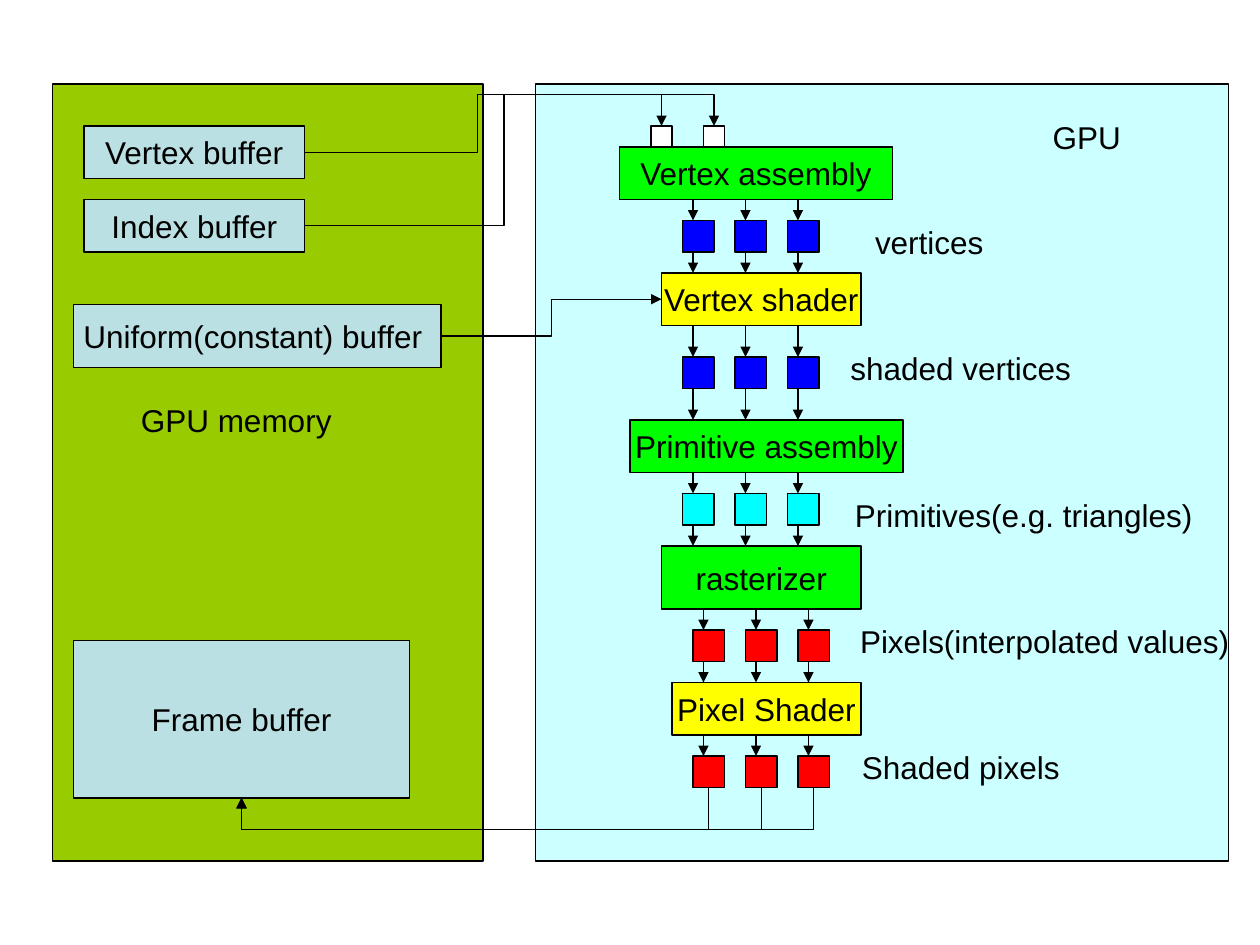
from lxml import etree
from pptx import Presentation
from pptx.dml.color import RGBColor
from pptx.enum.shapes import MSO_CONNECTOR, MSO_SHAPE
from pptx.enum.text import MSO_ANCHOR, PP_ALIGN
from pptx.oxml.ns import qn
from pptx.util import Cm, Pt

GRID = 2.54 / 12  # the layout grid in centimetres
TOP, LEFT, BOTTOM, RIGHT = range(4)
TOKEN = 3  # side of a data square
TOKEN_STEP = 5
LABEL_SIZE = (15, 6)
BLACK, WHITE = "000000", "FFFFFF"
GREEN, YELLOW, BLUE, CYAN, RED = "00FF00", "FFFF00", "0000FF", "00FFFF", "FF0000"
BUFFER_FILL = "BBE0E3"

MEMORY_BOX = (5, 8, 41, 74)
GPU_BOX = (51, 8, 66, 74)

# Places below are relative to the panel that holds them
BUFFERS = {
    "Vertex buffer": (3, 4, 21, 5),
    "Index buffer": (3, 11, 21, 5),
    "Uniform(constant) buffer ": (2, 21, 35, 6),
    "Frame buffer": (2, 53, 32, 15),
}
# Stage name, box, fill, then the left, top and fill of its output squares
STAGES = [
    ("Vertex assembly", (8, 6, 26, 5), GREEN, (14, 13, BLUE)),
    ("Vertex shader", (12, 18, 19, 5), YELLOW, (14, 26, BLUE)),
    ("Primitive assembly", (9, 32, 26, 5), GREEN, (14, 39, CYAN)),
    ("rasterizer", (12, 44, 19, 6), GREEN, (15, 52, RED)),
    ("Pixel Shader", (13, 57, 18, 5), YELLOW, (15, 64, RED)),
]
GPU_LABELS = [
    ("GPU", 45, 2),
    ("vertices", 30, 12),
    ("shaded vertices", 33, 24),
    ("Primitives(e.g. triangles)", 39, 38),
    ("Pixels(interpolated values)", 41, 50),
    ("Shaded pixels", 33, 62),
]


def color(value):
    return RGBColor.from_string(value)


def units(*values):
    return [Cm(value * GRID) for value in values]


def inside(panel, box):
    return (panel[0] + box[0], panel[1] + box[1], *box[2:])


def write(shape, text, size=18, font="Arial", fill=BLACK):
    frame = shape.text_frame
    frame.word_wrap = False
    frame.vertical_anchor = MSO_ANCHOR.MIDDLE
    para = frame.paragraphs[0]
    para.alignment = PP_ALIGN.CENTER
    span = para.add_run()
    span.text = text
    span.font.size = Pt(size)
    span.font.name = font
    span.font.color.rgb = color(fill)


def add_rect(page, box, fill=None, text=None):
    """A box with fill and outline, or a bare caption when fill is None."""
    shape = page.shapes.add_shape(MSO_SHAPE.RECTANGLE, *units(*box))
    shape.shadow.inherit = False
    if fill:
        shape.fill.solid()
        shape.fill.fore_color.rgb = color(fill)
        shape.line.color.rgb = color(BLACK)
        shape.line.width = Pt(0.75)
    else:
        shape.fill.background()
        shape.line.fill.background()
    if text:
        write(shape, text)
    return shape


def add_label(page, panel, text, left, top):
    # A plain rectangle lets an unwrapped caption run past both sides
    add_rect(page, inside(panel, (left, top, *LABEL_SIZE)), text=text)


def style_arrow(connector):
    connector.line.color.rgb = color(BLACK)
    connector.line.width = Pt(0.75)
    line = connector.line._get_or_add_ln()
    etree.SubElement(line, qn("a:tailEnd"), type="triangle")
    etree.SubElement(connector._element.spPr, qn("a:effectLst"))


def add_arrow(page, x, start, end):
    arrow = page.shapes.add_connector(MSO_CONNECTOR.STRAIGHT, *units(x, start, x, end))
    style_arrow(arrow)


def side_point(shape, side):
    x = {LEFT: 0, RIGHT: shape.width}.get(side, shape.width // 2)
    y = {TOP: 0, BOTTOM: shape.height}.get(side, shape.height // 2)
    return shape.left + x, shape.top + y


def join(page, source, source_side, target, target_side, via_x=None, via_y=None):
    """Link two shapes by an elbow that turns at the given grid positions."""
    x0, y0 = side_point(source, source_side)
    x1, y1 = side_point(target, target_side)
    elbow = page.shapes.add_connector(MSO_CONNECTOR.ELBOW, x0, y0, x1, y1)
    elbow.begin_connect(source, source_side)
    elbow.end_connect(target, target_side)
    turns = []
    if via_x is not None:
        turns.append((Cm(via_x * GRID) - x0) / (x1 - x0))
    if via_y is not None:
        turns.append((Cm(via_y * GRID) - y0) / (y1 - y0))
    geometry = elbow._element.spPr.find(qn("a:prstGeom"))
    if len(turns) == 2:
        geometry.set("prst", "bentConnector4")
    elif via_x is None:
        # Leaves downwards and heads left: a quarter turn of the plain elbow
        width, height = y1 - y0, x0 - x1
        frame = elbow._element.spPr.find(qn("a:xfrm"))
        frame.attrib.pop("flipH", None)
        frame.set("rot", "5400000")
        elbow.left = (x0 + x1 - width) // 2
        elbow.top = (y0 + y1 - height) // 2
        elbow.width, elbow.height = width, height
    guides = geometry.find(qn("a:avLst"))
    for number, turn in enumerate(turns, 1):
        etree.SubElement(guides, qn("a:gd"), name=f"adj{number}",
                         fmla=f"val {round(turn * 100000)}")
    style_arrow(elbow)


def build_memory(page, panel):
    add_rect(page, panel, "99CC00")
    add_label(page, panel, "GPU memory", 10, 29)
    return [add_rect(page, inside(panel, box), BUFFER_FILL, name)
            for name, box in BUFFERS.items()]


def build_tokens(page, panel, left, top, fill, start, end):
    """Three squares, each with an arrow in and, unless last, an arrow out."""
    tokens = []
    for index in range(3):
        box = inside(panel, (left + index * TOKEN_STEP, top, TOKEN, TOKEN))
        tokens.append(add_rect(page, box, fill))
        x, y = box[0] + 1, box[1]
        add_arrow(page, x, panel[1] + start, y)
        if end is not None:
            add_arrow(page, x, y + TOKEN, panel[1] + end)
    return tokens


def build_gpu(page, panel):
    add_rect(page, panel, "CCFFFF")
    inputs = [add_rect(page, inside(panel, (left, 4, 2, 2)), WHITE) for left in (11, 16)]
    # Pipeline stages, then the data that flows between them
    stages = [add_rect(page, inside(panel, box), fill, name)
              for name, box, fill, _ in STAGES]
    next_tops = [box[1] for _, box, _, _ in STAGES[1:]] + [None]
    for (_, box, _, tokens), end in zip(STAGES, next_tops):
        outputs = build_tokens(page, panel, *tokens, box[1] + box[3], end)
    for label in GPU_LABELS:
        add_label(page, panel, *label)
    return inputs, stages[1], outputs


def main():
    deck = Presentation()
    deck.slide_width, deck.slide_height = Cm(25.4), Cm(19.05)
    page = deck.slides.add_slide(deck.slide_layouts[6])
    vertex, index, uniform, frame = build_memory(page, MEMORY_BOX)
    inputs, shader, pixels = build_gpu(page, GPU_BOX)

    # Links between memory and the pipeline
    join(page, vertex, RIGHT, inputs[0], TOP, via_x=45.5, via_y=9)
    join(page, index, RIGHT, inputs[1], TOP, via_x=48, via_y=9)
    join(page, uniform, RIGHT, shader, LEFT, via_x=52.5)
    for pixel in pixels:
        join(page, pixel, BOTTOM, frame, BOTTOM, via_y=79)
    deck.save("out.pptx")


if __name__ == "__main__":
    main()
